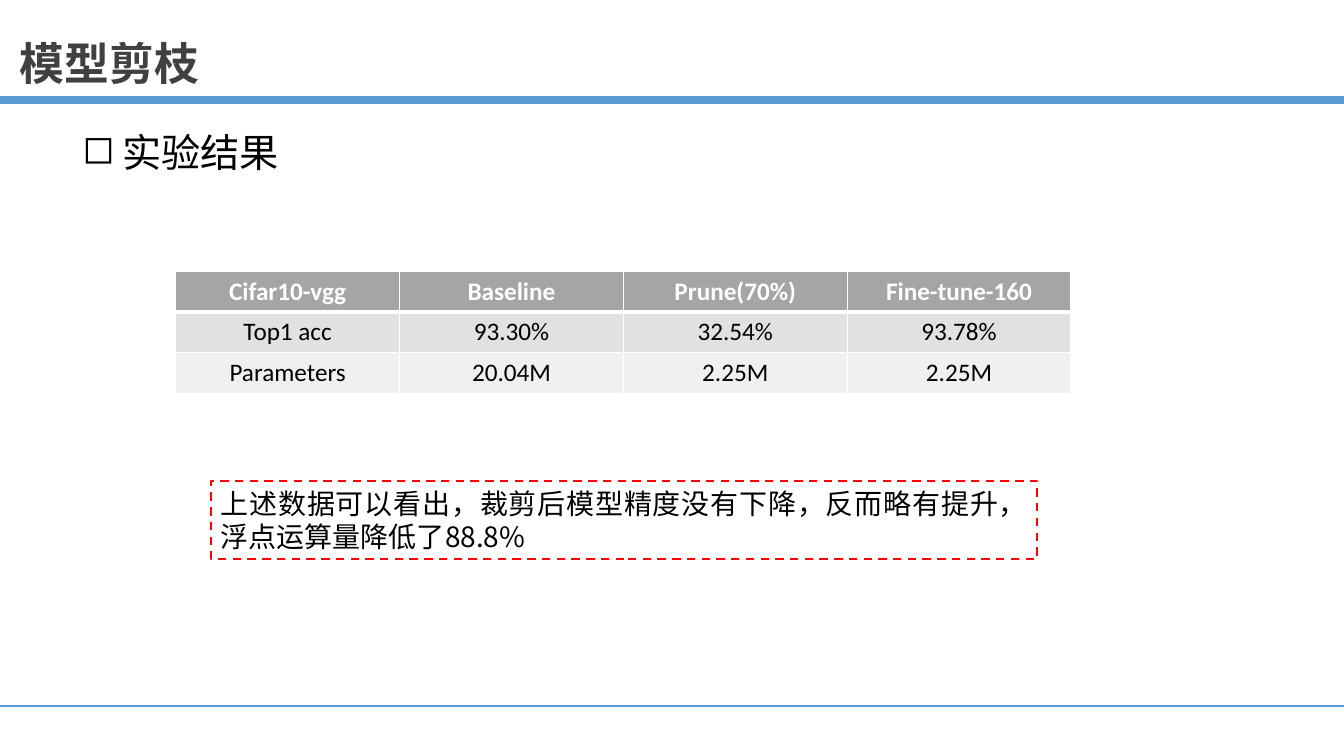
from lxml import etree
from pptx import Presentation
from pptx.dml.color import RGBColor
from pptx.enum.dml import MSO_LINE
from pptx.enum.shapes import MSO_CONNECTOR, MSO_SHAPE
from pptx.enum.text import MSO_ANCHOR, MSO_AUTO_SIZE, PP_ALIGN
from pptx.oxml.ns import qn
from pptx.util import Cm, Pt

STRAIGHT = MSO_CONNECTOR.STRAIGHT
RECTANGLE = MSO_SHAPE.RECTANGLE
DASH = MSO_LINE.DASH
TOP = MSO_ANCHOR.TOP
MIDDLE = MSO_ANCHOR.MIDDLE
FIT_SHAPE = MSO_AUTO_SIZE.SHAPE_TO_FIT_TEXT
LEFT, CENTER, JUSTIFY = PP_ALIGN.LEFT, PP_ALIGN.CENTER, PP_ALIGN.JUSTIFY

CHINESE_FONT = "Noto Sans CJK SC"
LATIN_FONT = "Calibri"
COLORS = {
    "title": "404040",
    "rule": "5B9BD5",
    "text": "000000",
    "white": "FFFFFF",
    "header": "A5A5A5",
    "odd_row": "E1E1E1",
    "even_row": "F0F0F0",
    "frame": "FF0000",
}
PAGE_WIDTH, PAGE_HEIGHT = Cm(33.87), Cm(19.05)
RESULTS = [
    ["Cifar10-vgg", "Baseline", "Prune(70%)", "Fine-tune-160"],
    ["Top1 acc", "93.30%", "32.54%", "93.78%"],
    ["Parameters", "20.04M", "2.25M", "2.25M"],
]
ROW_FILLS = ["header", "odd_row", "even_row"]


def color(name):
    return RGBColor.from_string(COLORS[name])


def place(shape, left, top, width, height):
    shape.left, shape.top = Cm(left), Cm(top)
    shape.width, shape.height = Cm(width), Cm(height)


def write(frame, text, size, color_name="text", font=CHINESE_FONT,
          bold=False, align=LEFT):
    """Put one run into the first paragraph and return the paragraph."""
    para = frame.paragraphs[0]
    para.alignment = align
    span = para.add_run()
    span.text = text
    span.font.size = Pt(size)
    span.font.bold = bold
    span.font.color.rgb = color(color_name)
    span.font.name = font
    latin = span.font._element.find(qn("a:latin"))
    east_asian = etree.Element(qn("a:ea"), typeface=font)
    latin.addnext(east_asian)
    return para


def set_frame(frame, anchor=TOP, wrap=True):
    frame.word_wrap = wrap
    frame.auto_size = FIT_SHAPE
    frame.vertical_anchor = anchor


def add_title(page, text):
    title = page.shapes.title
    place(title, 0.25, 0.76, 5.08, 1.63)
    set_frame(title.text_frame, wrap=False)
    write(title.text_frame, text, 32, "title", bold=True)


def add_rule(page, top, weight):
    rule = page.shapes.add_connector(STRAIGHT, 0, Cm(top), PAGE_WIDTH, Cm(top))
    rule.line.color.rgb = color("rule")
    rule.line.width = Pt(weight)
    etree.SubElement(rule._element.spPr, qn("a:effectLst"))


def add_bullet_heading(page, text):
    box = page.shapes.add_textbox(Cm(1.83), Cm(3.12), Cm(16), Cm(1.45))
    set_frame(box.text_frame)
    para = write(box.text_frame, text, 28)
    indent = Cm(1.01)
    properties = para._p.get_or_add_pPr()
    properties.set("marL", str(indent))
    properties.set("indent", str(-indent))
    etree.SubElement(properties, qn("a:buChar"), char="◻")


def set_borders(cell, bottom, top):
    """Draw white borders; they stand before the fill in the cell."""
    properties = cell._tc.get_or_add_tcPr()
    sides = [("a:lnL", 1), ("a:lnR", 1), ("a:lnT", top), ("a:lnB", bottom)]
    for position, (side, weight) in enumerate(sides):
        border = etree.Element(qn(side), w=str(Pt(weight)))
        fill = etree.SubElement(border, qn("a:solidFill"))
        etree.SubElement(fill, qn("a:srgbClr"), val=COLORS["white"])
        properties.insert(position, border)


def add_results_table(page, rows):
    column_width, row_height = Cm(5.64), Cm(1.03)
    row_count, column_count = len(rows), len(rows[0])
    table = page.shapes.add_table(
        row_count, column_count, Cm(4.43), Cm(6.83),
        column_width * column_count, row_height * row_count).table
    for column in table.columns:
        column.width = column_width
    for row_index, values in enumerate(rows):
        table.rows[row_index].height = row_height
        header = row_index == 0
        for column_index, value in enumerate(values):
            cell = table.cell(row_index, column_index)
            cell.fill.solid()
            cell.fill.fore_color.rgb = color(ROW_FILLS[row_index])
            set_borders(cell, bottom=3 if header else 1,
                        top=3 if row_index == 1 else 1)
            write(cell.text_frame, value, 18, "white" if header else "text",
                  LATIN_FONT, header, CENTER)


def add_conclusion(page, text):
    box = page.shapes.add_shape(RECTANGLE, Cm(5.31), Cm(12.12),
                                Cm(20.83), Cm(1.96))
    box.shadow.inherit = False
    box.fill.background()
    box.line.color.rgb = color("frame")
    box.line.width = Pt(1.5)
    box.line.dash_style = DASH
    set_frame(box.text_frame, MIDDLE)
    write(box.text_frame, text, 20, align=JUSTIFY)


def main():
    deck = Presentation()
    deck.slide_width, deck.slide_height = PAGE_WIDTH, PAGE_HEIGHT
    page = deck.slides.add_slide(deck.slide_layouts[5])

    # Title and rules
    add_title(page, "模型剪枝")
    add_rule(page, 17.8, 1.5)
    add_rule(page, 2.52, 6)

    # Experiment results
    add_bullet_heading(page, "实验结果")
    add_results_table(page, RESULTS)
    add_conclusion(page, "上述数据可以看出，裁剪后模型精度没有下降，"
                         "反而略有提升，浮点运算量降低了88.8%")

    deck.save("out.pptx")


if __name__ == "__main__":
    main()
